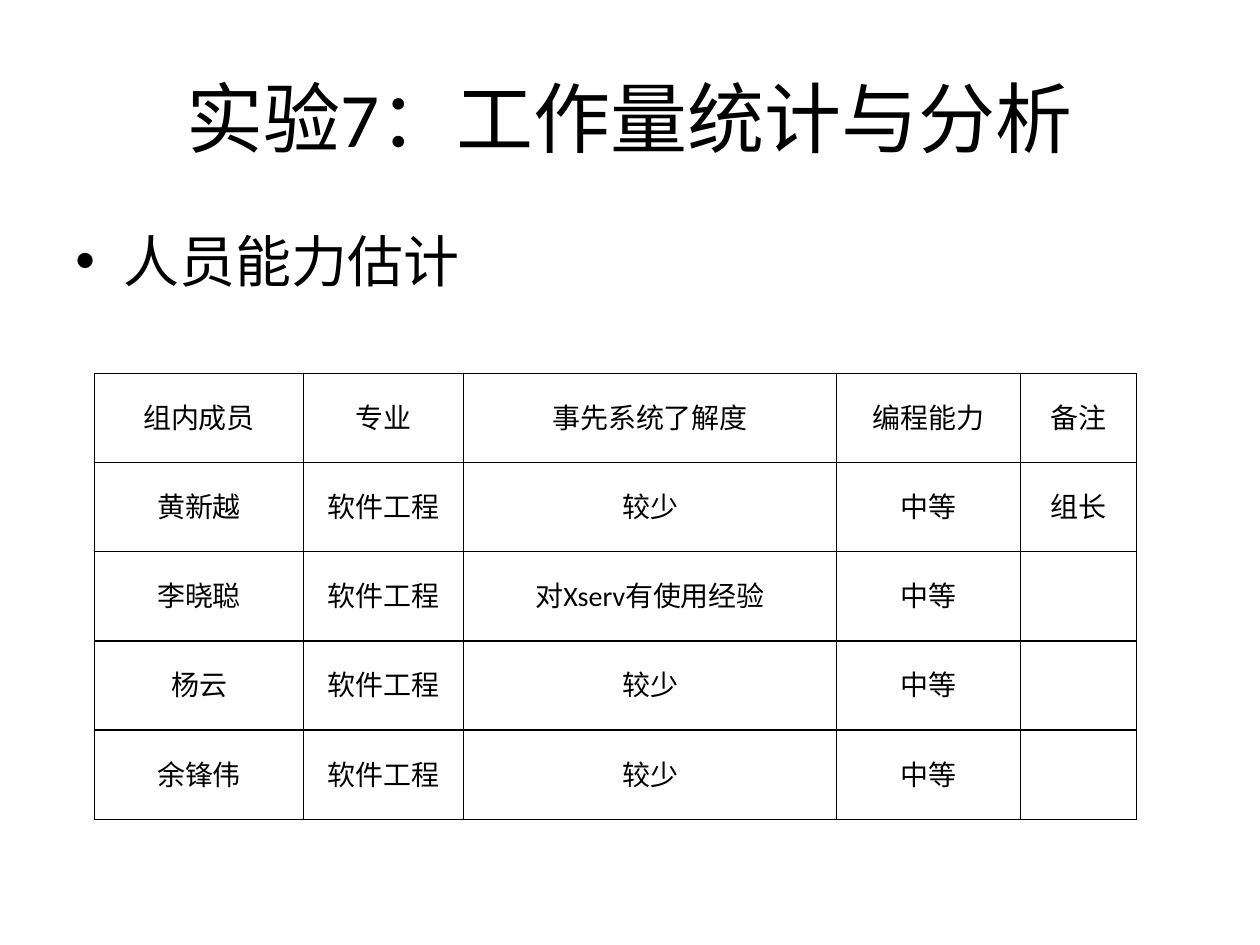
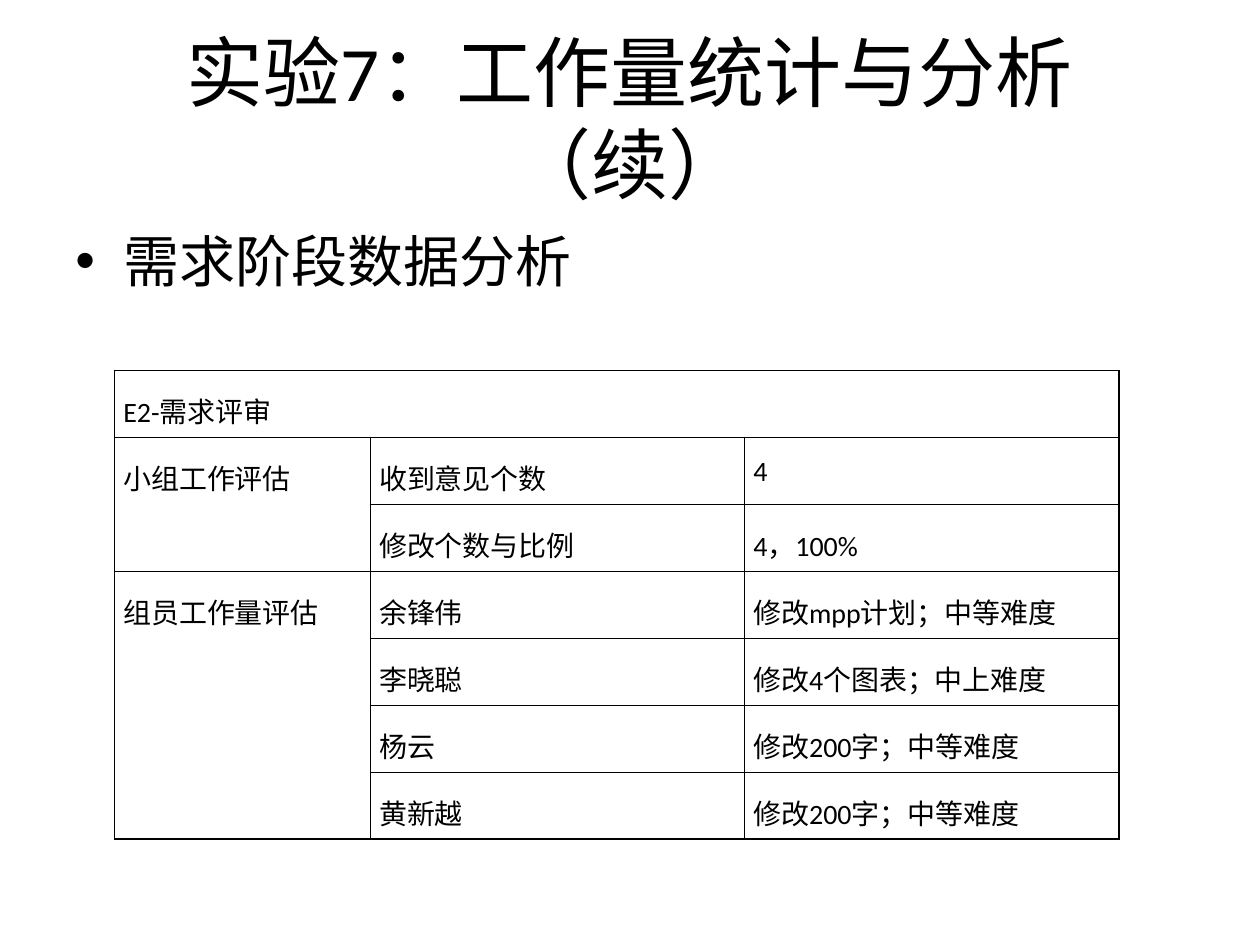
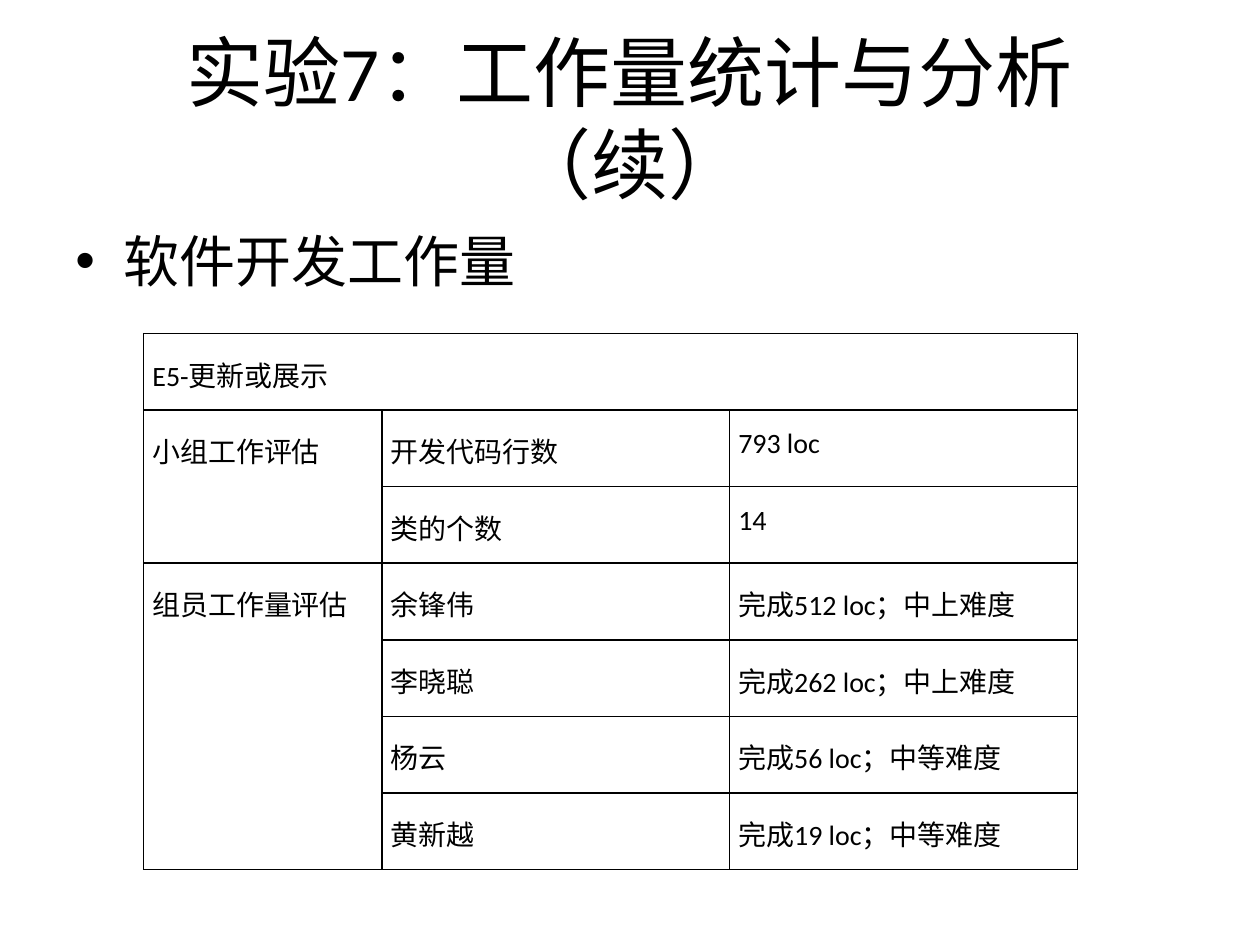
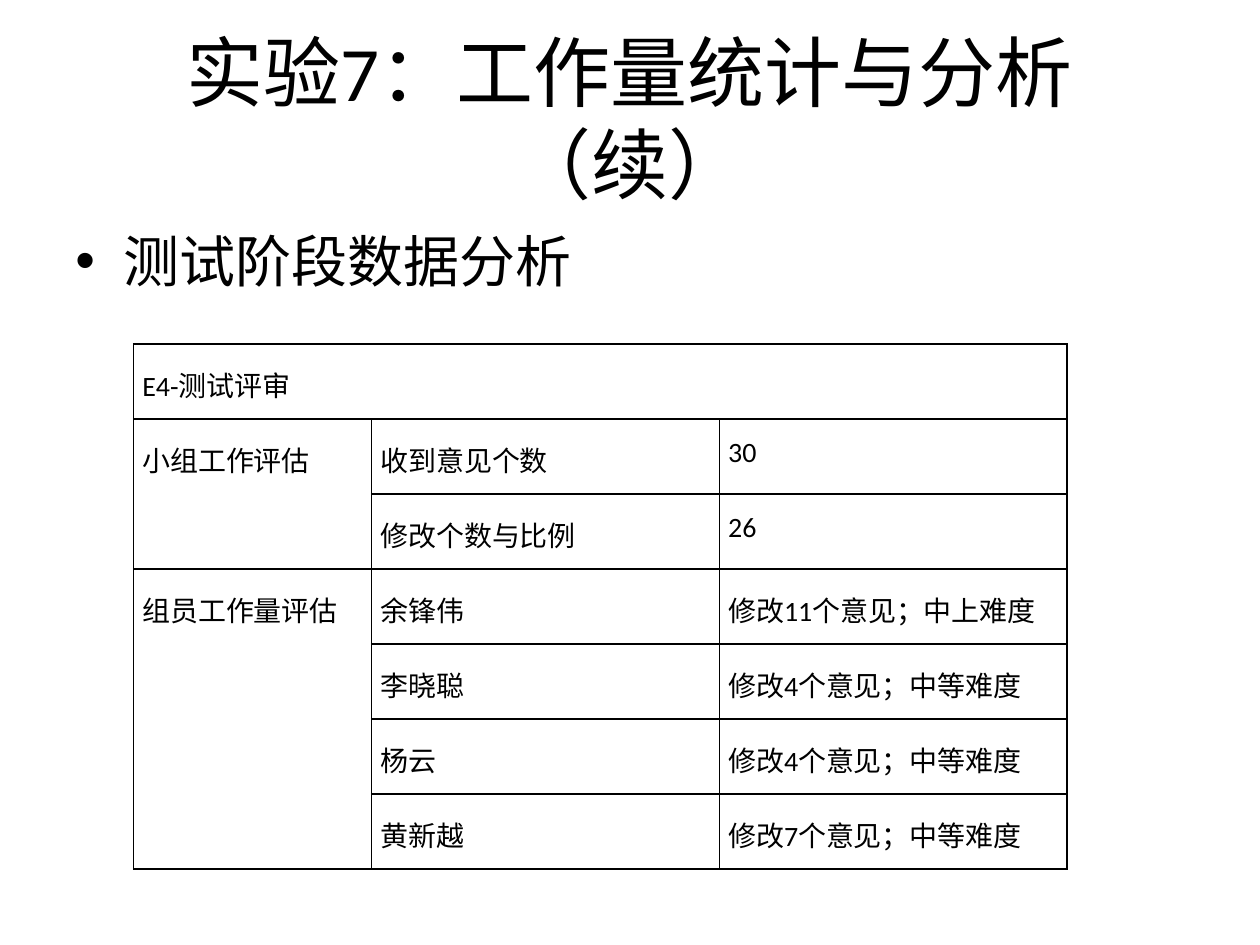
from lxml.etree import SubElement as Sub
from pptx import Presentation
from pptx.dml.color import RGBColor
from pptx.enum.text import MSO_ANCHOR as ANCHOR, PP_ALIGN as ALIGN
from pptx.oxml.ns import qn
from pptx.util import Emu, Inches, Pt

BLACK = RGBColor(0x00, 0x00, 0x00)
WHITE = RGBColor(0xFF, 0xFF, 0xFF)
FONT = "Calibri"
TITLE = "实验7：工作量统计与分析"
MORE = TITLE + "（续）"
GROUP, MEMBERS = "小组工作评估", "组员工作量评估"

prs = Presentation()
prs.slide_width, prs.slide_height = Inches(10), Inches(7.5)
COL, ROW = prs.slide_width / 100, prs.slide_height / 100


def write(p, text, size, align):
    p.text = text
    p.alignment = align
    p.font.name, p.font.size, p.font.color.rgb = FONT, Pt(size), BLACK


def add_text(s, text, top, height, size, align, anchor):
    sp = s.shapes.add_textbox(Emu(int(5 * COL)), Emu(int(top * ROW)),
                              Emu(int(90 * COL)), Emu(int(height * ROW)))
    tf = sp.text_frame
    tf.word_wrap = True
    tf.vertical_anchor = anchor
    p = tf.paragraphs[0]
    write(p, text, size, align)
    return p


people = [
    ["组内成员", "专业", "事先系统了解度", "编程能力", "备注"],
    ["黄新越", "软件工程", "较少", "中等", "组长"],
    ["李晓聪", "软件工程", "对Xserv有使用经验", "中等", ""],
    ["杨云", "软件工程", "较少", "中等", ""],
    ["余锋伟", "软件工程", "较少", "中等", ""],
]
requirements = [
    ["E2-需求评审", "", ""],
    [GROUP, "收到意见个数", "4"],
    ["", "修改个数与比例", "4，100%"],
    [MEMBERS, "余锋伟", "修改mpp计划；中等难度"],
    ["", "李晓聪", "修改4个图表；中上难度"],
    ["", "杨云", "修改200字；中等难度"],
    ["", "黄新越", "修改200字；中等难度"],
]
development = [
    ["E5-更新或展示", "", ""],
    [GROUP, "开发代码行数", "793 loc"],
    ["", "类的个数", "14"],
    [MEMBERS, "余锋伟", "完成512 loc；中上难度"],
    ["", "李晓聪", "完成262 loc；中上难度"],
    ["", "杨云", "完成56 loc；中等难度"],
    ["", "黄新越", "完成19 loc；中等难度"],
]
testing = [
    ["E4-测试评审", "", ""],
    [GROUP, "收到意见个数", "30"],
    ["", "修改个数与比例", "26"],
    [MEMBERS, "余锋伟", "修改11个意见；中上难度"],
    ["", "李晓聪", "修改4个意见；中等难度"],
    ["", "杨云", "修改4个意见；中等难度"],
    ["", "黄新越", "修改7个意见；中等难度"],
]

REVIEW_MERGES = [(0, 0, 0, 2), (1, 0, 2, 0), (3, 0, 6, 0)]
PEOPLE_STYLE = (ALIGN.CENTER, ANCHOR.MIDDLE, Pt(21), [])
REVIEW_STYLE = (ALIGN.JUSTIFY, ANCHOR.TOP, 1.5, REVIEW_MERGES)

slides = [
    (TITLE, "人员能力估计", people, 7.5, 39.5, [16.6, 12.7, 29.6, 14.6, 9.2], 9.44, PEOPLE_STYLE),
    (MORE, "需求阶段数据分析", requirements, 9.1, 39.2, [20.3, 29.7, 29.7], 7.09, REVIEW_STYLE),
    (MORE, "软件开发工作量", development, 11.4, 35.3, [18.9, 27.6, 27.6], 8.1, REVIEW_STYLE),
    (MORE, "测试阶段数据分析", testing, 10.6, 36.4, [18.9, 27.6, 27.6], 7.94, REVIEW_STYLE),
]

for title, topic, rows, left, top, widths, height, style in slides:
    align, anchor, spacing, merges = style
    s = prs.slides.add_slide(prs.slide_layouts[6])
    add_text(s, title, 4, 16.67, 44, ALIGN.CENTER, ANCHOR.MIDDLE)

    p = add_text(s, topic, 23.33, 66, 32, ALIGN.LEFT, ANCHOR.TOP)
    p.space_before = Pt(6.4)
    pPr = p._p.get_or_add_pPr()
    pPr.set("marL", str(Inches(0.38)))
    pPr.set("indent", str(-Inches(0.38)))
    bullet_font = pPr.makeelement(qn("a:buFont"), {"typeface": "Arial"})
    bullet = pPr.makeelement(qn("a:buChar"), {"char": "•"})
    pPr.find(qn("a:spcBef")).addnext(bullet_font)
    bullet_font.addnext(bullet)

    table = s.shapes.add_table(len(rows), len(widths), Emu(int(left * COL)), Emu(int(top * ROW)),
                               Emu(int(sum(widths) * COL)), Emu(int(len(rows) * height * ROW))).table
    table.first_row = table.horz_banding = False
    for column, width in zip(table.columns, widths):
        column.width = Emu(int(width * COL))
    for r, texts in enumerate(rows):
        table.rows[r].height = Emu(int(height * ROW))
        for c, text in enumerate(texts):
            cell = table.cell(r, c)
            cell.margin_left = cell.margin_right = Inches(0.07)
            cell.margin_top = cell.margin_bottom = 0
            cell.vertical_anchor = anchor
            tcPr = cell._tc.get_or_add_tcPr()
            for side in ("lnL", "lnR", "lnT", "lnB"):
                ln = Sub(tcPr, qn("a:" + side), w=str(Pt(1)))
                Sub(Sub(ln, qn("a:solidFill")), qn("a:srgbClr"), val=str(BLACK))
            cell.fill.solid()
            cell.fill.fore_color.rgb = WHITE
            if text:
                p = cell.text_frame.paragraphs[0]
                write(p, text, 16, align)
                p.line_spacing = spacing
    for r1, c1, r2, c2 in merges:
        table.cell(r1, c1).merge(table.cell(r2, c2))

prs.save("out.pptx")
